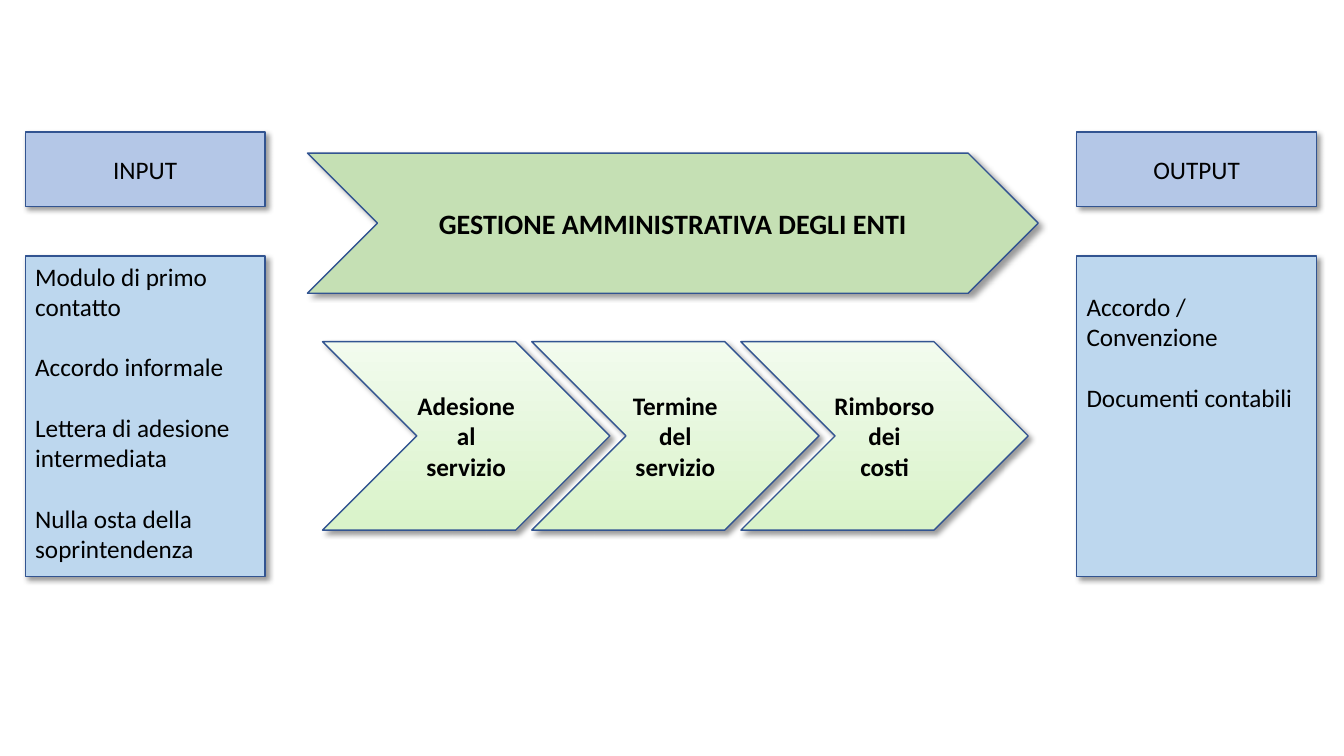
from lxml import etree
from pptx import Presentation
from pptx.dml.color import RGBColor
from pptx.enum.shapes import MSO_SHAPE as Shape
from pptx.enum.text import MSO_ANCHOR as Anchor, PP_ALIGN as Align
from pptx.oxml.ns import qn
from pptx.util import Pt

BLACK = RGBColor(0x00, 0x00, 0x00)
BORDER = RGBColor(0x32, 0x54, 0x91)
HEADER_BLUE = RGBColor(0xB4, 0xC7, 0xE7)
LIST_BLUE = RGBColor(0xBD, 0xD7, 0xEE)
PROCESS_GREEN = RGBColor(0xC5, 0xE0, 0xB4)
STEP_DARK = RGBColor(0xD9, 0xF3, 0xC9)
STEP_LIGHT = RGBColor(0xF2, 0xFB, 0xEE)

FONT = "Calibri"
BODY_SIZE = 18
LINE_GAP = 21.6
INSET = 3.6

COLUMN_WIDTH = 171.4
INPUT_LEFT, OUTPUT_LEFT = 18, 769
STEP_LEFT, STEP_PITCH = 230.4, 149.4


def write(p, text, size=BODY_SIZE, bold=False, align=Align.CENTER, before=0):
    """Fill a paragraph; a vertical tab in the text is a line break."""
    p.text = text
    p.alignment = align
    p.space_before = Pt(before)
    for r in p.runs:
        r.font.name = FONT
        r.font.size = Pt(size)
        r.font.bold = bold
        r.font.color.rgb = BLACK


def add_shadow(sp):
    sp.shadow.inherit = False
    effects = sp._element.spPr.find(qn("a:effectLst"))
    shadow = etree.SubElement(effects, qn("a:outerShdw"), blurRad=str(Pt(4)),
                              dist=str(Pt(3)), dir="2700000",
                              algn="tl", rotWithShape="0")
    color = etree.SubElement(shadow, qn("a:srgbClr"), val=str(BLACK))
    etree.SubElement(color, qn("a:alpha"), val="40000")


class ProcessSlide:
    """Draws the parts of a process diagram on one slide."""

    def __init__(self, slide):
        self.slide = slide

    def block(self, kind, left, top, width, height, color=None):
        sp = self.slide.shapes.add_shape(
            kind, Pt(left), Pt(top), Pt(width), Pt(height))
        if color is not None:
            sp.fill.solid()
            sp.fill.fore_color.rgb = color
        sp.line.color.rgb = BORDER
        sp.line.width = Pt(1)
        add_shadow(sp)
        tf = sp.text_frame
        tf.word_wrap = True
        tf.vertical_anchor = Anchor.MIDDLE
        return sp

    def header(self, left, text):
        sp = self.block(Shape.RECTANGLE, left, 94.3, COLUMN_WIDTH, 53.3,
                        HEADER_BLUE)
        write(sp.text_frame.paragraphs[0], text)

    def item_list(self, left, items, top_inset=INSET):
        sp = self.block(Shape.RECTANGLE, left, 182.9, COLUMN_WIDTH, 229,
                        LIST_BLUE)
        tf = sp.text_frame
        tf.vertical_anchor = Anchor.TOP
        tf.margin_top = Pt(top_inset)
        for i, item in enumerate(items):
            p = tf.add_paragraph() if i else tf.paragraphs[0]
            write(p, item, align=Align.LEFT, before=LINE_GAP if i else 0)

    def process(self, text):
        sp = self.block(Shape.CHEVRON, 219.6, 109.4, 522, 100.1,
                        PROCESS_GREEN)
        write(sp.text_frame.paragraphs[0], text, size=20, bold=True)

    def step(self, left, text):
        sp = self.block(Shape.CHEVRON, left, 244.1, 205.2, 134.6)
        sp.fill.gradient()
        sp.fill.gradient_angle = 90
        for stop, color in zip(sp.fill.gradient_stops,
                               (STEP_DARK, STEP_LIGHT)):
            stop.color.rgb = color
        sp.text_frame.word_wrap = False
        write(sp.text_frame.paragraphs[0], text, bold=True)


def main():
    prs = Presentation()
    prs.slide_width, prs.slide_height = Pt(960), Pt(540)
    s = ProcessSlide(prs.slides.add_slide(prs.slide_layouts[6]))

    s.header(INPUT_LEFT, "INPUT")
    s.item_list(INPUT_LEFT, ["Modulo di primo contatto",
                             "Accordo informale",
                             "Lettera di adesione intermediata",
                             "Nulla osta della soprintendenza"])
    s.process("GESTIONE AMMINISTRATIVA DEGLI ENTI")
    steps = ["Adesione\val\vservizio", "Termine\vdel\vservizio",
             "Rimborso\vdei\vcosti"]
    for i, text in enumerate(steps):
        s.step(STEP_LEFT + i * STEP_PITCH, text)
    s.header(OUTPUT_LEFT, "OUTPUT")
    s.item_list(OUTPUT_LEFT, ["Accordo / Convenzione",
                              "Documenti contabili"],
                top_inset=INSET + LINE_GAP)

    prs.save("out.pptx")


if __name__ == "__main__":
    main()
